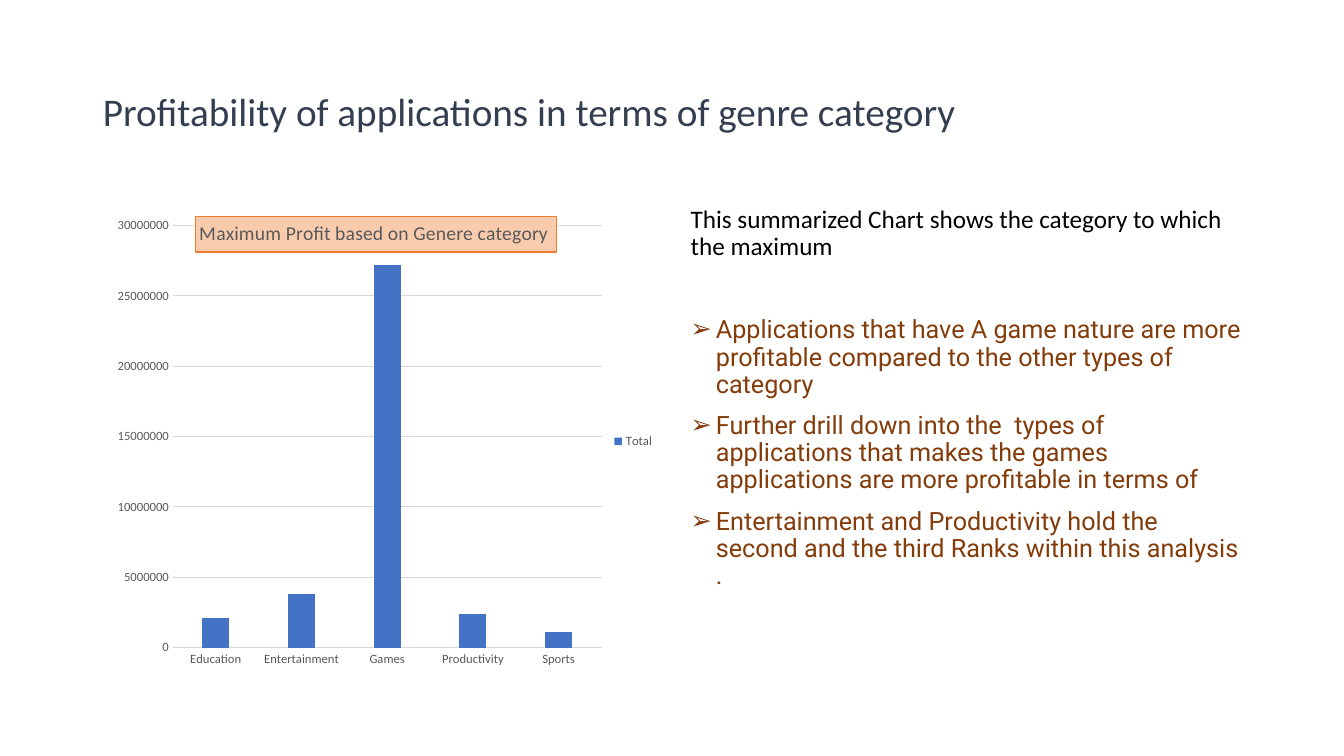
from lxml.etree import SubElement
from pptx import Presentation
from pptx.chart.data import CategoryChartData
from pptx.dml.color import RGBColor
from pptx.enum.chart import XL_CHART_TYPE, XL_LEGEND_POSITION, XL_TICK_MARK
from pptx.enum.text import MSO_ANCHOR, PP_ALIGN
from pptx.oxml import parse_xml
from pptx.oxml.ns import nsdecls, qn
from pptx.util import Inches, Pt

HEAD = "Profitability of applications in terms of genre category"
INTRO = "This summarized Chart shows the category to which the maximum"
POINTS = [
    "Applications that have A game nature are more profitable compared to the other types of category",
    "Further drill down into the  types of applications that makes the games applications are more profitable in terms of",
    "Entertainment and Productivity hold the second and the third Ranks within this analysis .",
]
CAPTION = "Maximum Profit based on Genere category "
PROFIT = {
    "Education": 2100000,
    "Entertainment": 3800000,
    "Games": 27200000,
    "Productivity": 2400000,
    "Sports": 1100000,
}

NAVY = RGBColor(0x33, 0x3F, 0x50)
BLACK = RGBColor(0, 0, 0)
BROWN = RGBColor(0x84, 0x3C, 0x0B)
GREY = RGBColor(0x59, 0x59, 0x59)
PALE = RGBColor(0xD9, 0xD9, 0xD9)
BLUE = RGBColor(0x44, 0x72, 0xC4)
PEACH = RGBColor(0xF8, 0xCB, 0xAD)
ORANGE = RGBColor(0xED, 0x7D, 0x31)

LEFT, TOP, WIDE, HIGH, GAP = 0.92, 2, 5.67, 4.76, 0.16


def place(shape, left, top, width, height):
    shape.left, shape.top = Inches(left), Inches(top)
    shape.width, shape.height = Inches(width), Inches(height)


def style(font, size, color, name="Calibri"):
    font.size, font.name, font.bold = Pt(size), name, False
    font.color.rgb = color


def write(para, text, size, color, name="Calibri", before=0):
    para.text = text
    para.alignment = PP_ALIGN.LEFT
    para.line_spacing, para.space_before = 0.9, Pt(before)
    style(para.font, size, color, name)


def mark(para, sign=None):
    props = para._p.get_or_add_pPr()
    dent = Inches(0.25) if sign else 0
    props.set("marL", str(dent))
    props.set("indent", str(-dent))
    if sign:
        SubElement(props, qn("a:buFont")).set("typeface", "Wingdings")
        SubElement(props, qn("a:buChar")).set("char", sign)
        props.find(qn("a:buFont")).set("typeface", "Arial")
    else:
        SubElement(props, qn("a:buNone"))


def lay(part, spot, **vals):
    old = part.find(qn("c:layout"))
    if old is not None:
        part.remove(old)
    inner = "".join(f'<c:{key} val="{val}"/>' for key, val in vals.items())
    part.insert(spot, parse_xml(
        f'<c:layout {nsdecls("c")}><c:manualLayout>{inner}</c:manualLayout></c:layout>'))


deck = Presentation()
deck.slide_width, deck.slide_height = Inches(13.33), Inches(7.5)
slide = deck.slides.add_slide(deck.slide_layouts[1])

title = slide.shapes.title
place(title, LEFT, 0.4, 2 * WIDE + GAP, 1.45)
title.text_frame.vertical_anchor = MSO_ANCHOR.MIDDLE
write(title.text_frame.paragraphs[0], HEAD, 28, NAVY)

body = slide.placeholders[1]
place(body, LEFT + WIDE + GAP, TOP, WIDE, HIGH)
frame = body.text_frame
write(frame.paragraphs[0], INTRO, 18, BLACK, before=10)
mark(frame.paragraphs[0])
for num, text in enumerate(POINTS):
    para = frame.add_paragraph()
    write(para, text, 18, BROWN, "Roboto", 10 if num else 40)
    mark(para, "\u27a2")

data = CategoryChartData()
data.categories = list(PROFIT)
data.add_series("Total", list(PROFIT.values()))
chart = slide.shapes.add_chart(
    XL_CHART_TYPE.COLUMN_CLUSTERED,
    Inches(LEFT), Inches(TOP), Inches(WIDE), Inches(HIGH), data).chart
style(chart.font, 10, BLACK)

plot = chart.plots[0]
plot.gap_width, plot.overlap, plot.vary_by_categories = 219, -27, False
fill = plot.series[0].format.fill
fill.solid()
fill.fore_color.rgb = BLUE

for axis in (chart.category_axis, chart.value_axis):
    axis.major_tick_mark = axis.minor_tick_mark = XL_TICK_MARK.NONE
    style(axis.tick_labels.font, 9, GREY)
line = chart.category_axis.format.line
grid = chart.value_axis.major_gridlines.format.line
for rule in (line, grid):
    rule.color.rgb, rule.width = PALE, Pt(0.75)
chart.value_axis.format.line.fill.background()
chart.value_axis.tick_labels.number_format = "General"
chart.value_axis.tick_labels.number_format_is_linked = False

chart.has_legend = True
chart.legend.position = XL_LEGEND_POSITION.RIGHT
chart.legend.include_in_layout = False
style(chart.legend.font, 9, GREY)

chart.has_title = True
label = chart.chart_title
label.text_frame.text = CAPTION
style(label.text_frame.paragraphs[0].font, 14, GREY)
label.format.fill.solid()
label.format.fill.fore_color.rgb = PEACH
label.format.line.color.rgb = ORANGE
label.format.line.width = Pt(0.75)
root = chart.element.find(qn("c:chart"))
caption = root.find(qn("c:title"))
caption.find(qn("c:overlay")).set("val", "1")
lay(caption, 1, xMode="edge", yMode="edge", x=0.18, y=0.03)
lay(root.find(qn("c:plotArea")), 0, layoutTarget="inner", xMode="edge",
    yMode="edge", x=0.14, y=0.05, w=0.75, h=0.88)

deck.save("out.pptx")
